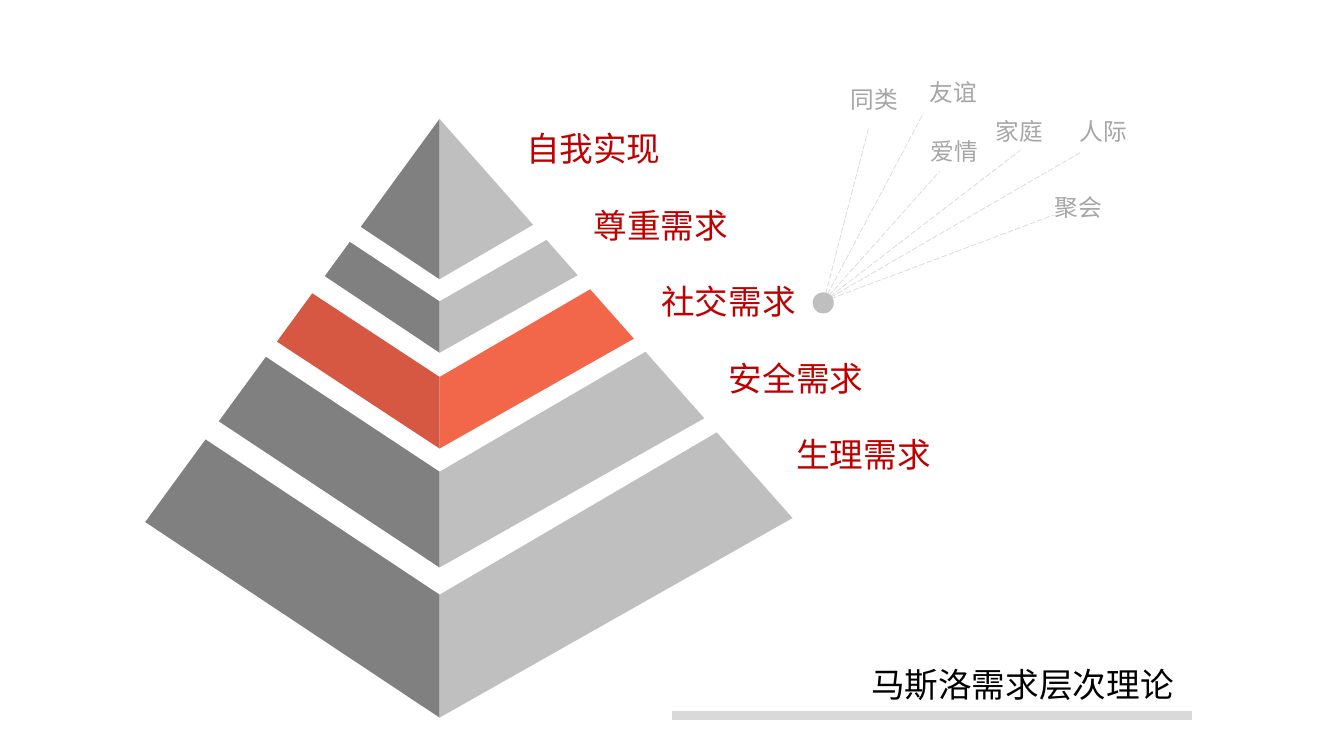
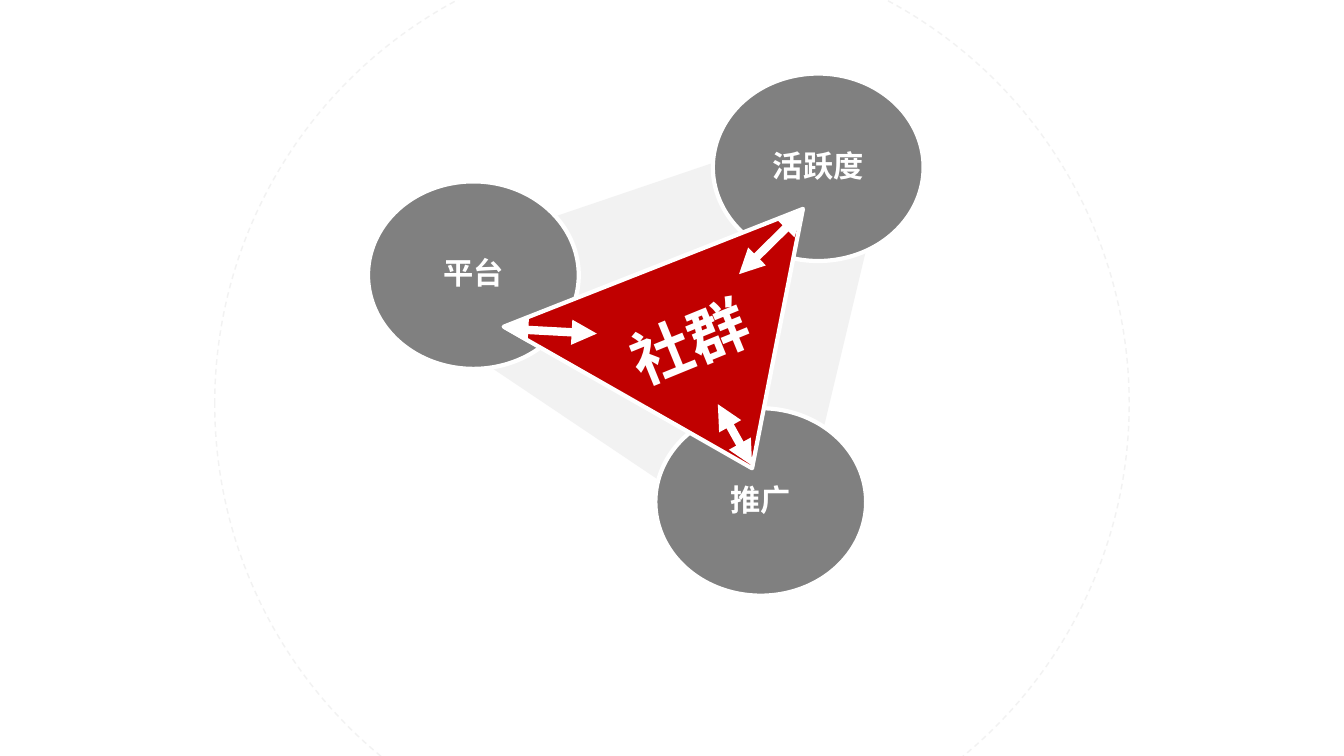
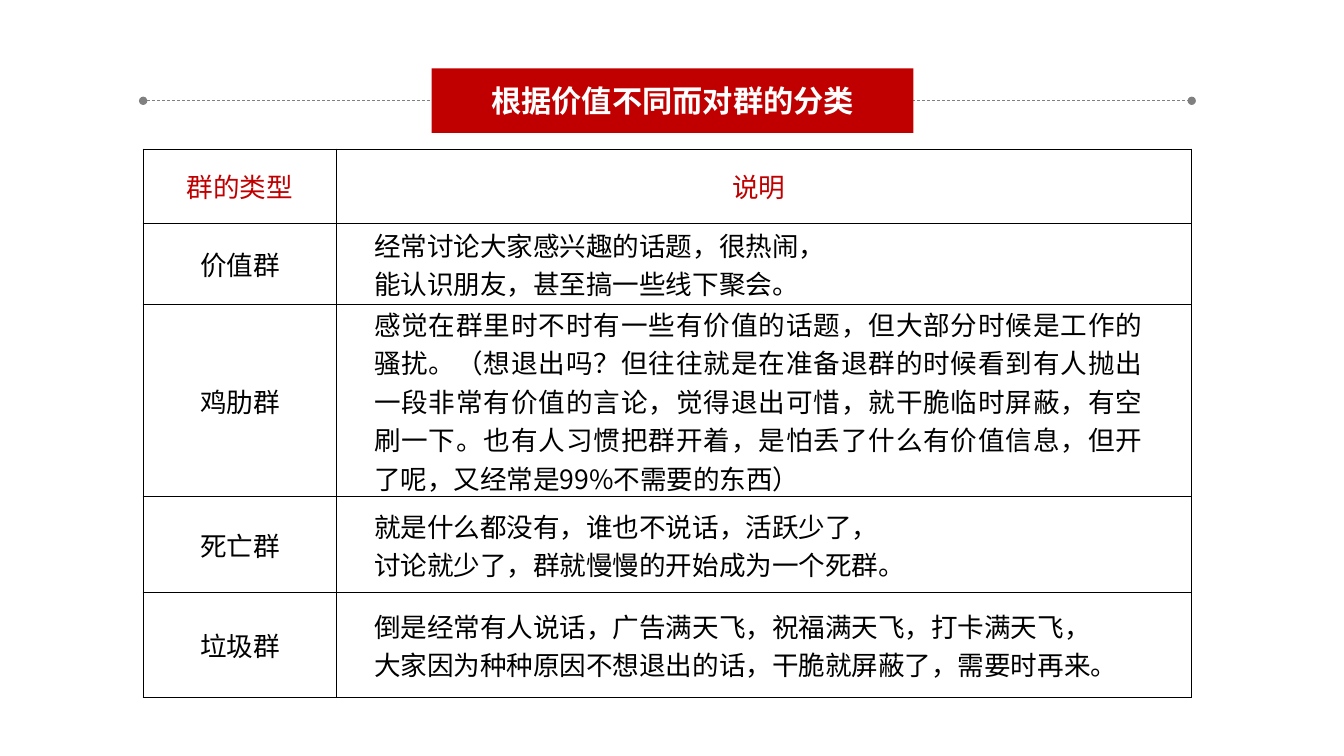
"""Build three slides on needs, communities and the kinds of groups."""
from dataclasses import dataclass

from lxml import etree
from pptx import Presentation
from pptx.dml.color import RGBColor
from pptx.enum.dml import MSO_LINE
from pptx.enum.shapes import MSO_CONNECTOR, MSO_SHAPE
from pptx.enum.text import MSO_ANCHOR, MSO_AUTO_SIZE, PP_ALIGN
from pptx.oxml.ns import qn
from pptx.util import Inches, Pt

FONT = "Noto Sans CJK SC"
BLACK = RGBColor(0x00, 0x00, 0x00)
WHITE = RGBColor(0xFF, 0xFF, 0xFF)
RED = RGBColor(0xC0, 0x00, 0x00)
ORANGE = RGBColor(0xF2, 0x66, 0x49)
DARK_ORANGE = RGBColor(0xD6, 0x58, 0x43)
DARK_GREY = RGBColor(0x80, 0x80, 0x80)
MID_GREY = RGBColor(0xA6, 0xA6, 0xA6)
GREY = RGBColor(0xBF, 0xBF, 0xBF)
PALE_GREY = RGBColor(0xD9, 0xD9, 0xD9)
FAINT_GREY = RGBColor(0xF2, 0xF2, 0xF2)

LEFT, CENTER = PP_ALIGN.LEFT, PP_ALIGN.CENTER
RIGHT, JUSTIFY = PP_ALIGN.RIGHT, PP_ALIGN.JUSTIFY
MIDDLE = MSO_ANCHOR.MIDDLE
GROW = MSO_AUTO_SIZE.SHAPE_TO_FIT_TEXT
STRAIGHT = MSO_CONNECTOR.STRAIGHT
DASH, LONG_DASH = MSO_LINE.DASH, MSO_LINE.LONG_DASH
ELLIPSE, RECT = MSO_SHAPE.OVAL, MSO_SHAPE.RECTANGLE
TRIANGLE, PARALLELOGRAM = MSO_SHAPE.ISOSCELES_TRIANGLE, MSO_SHAPE.PARALLELOGRAM

APEX_X, APEX_Y = 4.36, 1.18
LEFT_SLOPE, RIGHT_SLOPE = -0.73, 0.884
HUB = (8.17, 2.99)
HEADING = {"size": Pt(21.6), "bold": True}


@dataclass(frozen=True)
class Tier:
    """One layer of the pyramid, given by the heights of its corners."""
    label: str
    left: tuple[float, float]
    right: tuple[float, float]
    middle: tuple[float, float]
    left_color: RGBColor = DARK_GREY
    right_color: RGBColor = GREY


@dataclass(frozen=True)
class Ray:
    """A word with the end of the dashed line that leads to it."""
    label: str
    left: float
    top: float
    end: tuple[float, float]


@dataclass(frozen=True)
class Band:
    """A pale parallelogram that joins two circles."""
    box: tuple[float, float, float, float]
    rotation: float
    flipped: bool


@dataclass(frozen=True)
class Circle:
    """A labelled circle of the community diagram."""
    label: str
    left: float
    top: float


@dataclass(frozen=True)
class GroupKind:
    """A table row with the lines of its description."""
    height: float
    name: str
    lines: tuple[str, ...]
    color: RGBColor = BLACK
    align: PP_ALIGN = JUSTIFY


TIERS = [
    Tier("自我实现", (1.18, 2.25), (1.18, 2.23), (1.18, 2.77)),
    Tier("尊重需求", (2.40, 2.74), (2.38, 2.73), (2.99, 3.50)),
    Tier("社交需求", (2.91, 3.39), (2.87, 3.36), (3.74, 4.45), DARK_ORANGE, ORANGE),
    Tier("安全需求", (3.54, 4.18), (3.49, 4.15), (4.68, 5.63)),
    Tier("生理需求", (4.36, 5.18), (4.29, 5.14), (5.90, 7.12)),
]
RAYS = [
    Ray("爱情", 9.13, 1.31, (9.32, 1.70)),
    Ray("友谊", 9.12, 0.72, (9.16, 1.12)),
    Ray("家庭", 9.78, 1.11, (10.12, 1.49)),
    Ray("人际", 10.61, 1.11, (10.72, 1.51)),
    Ray("同类", 8.34, 0.79, (8.62, 1.25)),
    Ray("聚会", 10.36, 1.86, (10.46, 2.13)),
]
BANDS = [
    Band((6.36, 2.18, 2.99, 2.80), 339.5, False),
    Band((4.67, 0.67, 2.90, 3.41), 281, True),
    Band((4.58, 2.43, 3.26, 2.96), 337.8, True),
]
CIRCLES = [
    Circle("活跃度", 7.07, 0.73),
    Circle("平台", 3.65, 1.80),
    Circle("推广", 6.50, 4.05),
]
ARROWS = [
    ((4.99, 3.26), (5.92, 3.31)),
    ((7.97, 2.09), (7.33, 2.72)),
    ((7.46, 4.62), (7.12, 4.01)),
]
COLUMNS = [1.92, 0.28, 7.81, 0.39]
KINDS = [
    GroupKind(0.74, "群的类型", ("说明",), RED, CENTER),
    GroupKind(0.80, "价值群", (
        "经常讨论大家感兴趣的话题，很热闹，",
        "能认识朋友，甚至搞一些线下聚会。")),
    GroupKind(1.90, "鸡肋群", (
        "感觉在群里时不时有一些有价值的话题，但大部分时候是工作的骚扰。"
        "（想退出吗？但往往就是在准备退群的时候看到有人抛出一段非常有价值的言论，"
        "觉得退出可惜，就干脆临时屏蔽，有空刷一下。"
        "也有人习惯把群开着，是怕丢了什么有价值信息，"
        "但开了呢，又经常是99%不需要的东西）",)),
    GroupKind(0.95, "死亡群", (
        "就是什么都没有，谁也不说话，活跃少了，",
        "讨论就少了，群就慢慢的开始成为一个死群。")),
    GroupKind(1.04, "垃圾群", (
        "倒是经常有人说话，广告满天飞，祝福满天飞，打卡满天飞，",
        "大家因为种种原因不想退出的话，干脆就屏蔽了，需要时再来。")),
]


def write(tf, lines, color: RGBColor, fmt: dict, align=LEFT, spacing=None) -> None:
    """Fill a text frame with one paragraph for each line."""
    for i, line in enumerate(lines):
        p = tf.add_paragraph() if i else tf.paragraphs[0]
        p.alignment = align
        if spacing:
            p.line_spacing = spacing
        r = p.add_run()
        r.text = line
        for name, value in {"name": FONT, **fmt}.items():
            setattr(r.font, name, value)
        r.font.color.rgb = color
        etree.SubElement(r.font._element, qn("a:ea"), typeface=FONT)


def add_text(s, box, text: str, color: RGBColor, fmt: dict,
             align=LEFT, wrap=False, spacing=None):
    """Add a text box and return its shape."""
    sp = s.shapes.add_textbox(*map(Inches, box))
    tf = sp.text_frame
    tf.word_wrap, tf.auto_size = wrap, GROW
    write(tf, [text], color, fmt, align, spacing)
    return sp


def paint(sp, fill=None, line=None, width=1.0, dash=None) -> None:
    """Set the fill and the outline of a shape, without shadow."""
    sp.shadow.inherit = False
    if fill is None:
        sp.fill.background()
    else:
        sp.fill.solid()
        sp.fill.fore_color.rgb = fill
    if line is None:
        sp.line.fill.background()
        return
    sp.line.color.rgb, sp.line.width = line, Pt(width)
    if dash:
        sp.line.dash_style = dash


def add_preset(s, kind, box, rotation=0.0, adj=None, **style):
    """Add a painted preset shape."""
    sp = s.shapes.add_shape(kind, *map(Inches, box))
    sp.rotation = rotation
    if adj is not None:
        sp.adjustments[0] = adj
    paint(sp, **style)
    return sp


def label_shape(sp, text: str, spacing=None) -> None:
    """Write a bold white heading in the middle of a shape."""
    sp.text_frame.word_wrap = True
    sp.text_frame.vertical_anchor = MIDDLE
    write(sp.text_frame, [text], WHITE, HEADING, CENTER, spacing)


def add_polygon(s, points, fill: RGBColor) -> None:
    """Add a closed outline through the points."""
    start, *rest = [(Inches(x), Inches(y)) for x, y in points]
    fb = s.shapes.build_freeform(*start, scale=1.0)
    fb.add_line_segments(rest, close=True)
    paint(fb.convert_to_shape(), fill)


def add_line(s, start, end, color: RGBColor, width: float, dash=None, ends=None) -> None:
    """Add a straight line, with the same mark on both ends if given."""
    c = s.shapes.add_connector(STRAIGHT, *map(Inches, (*start, *end)))
    c.line.color.rgb, c.line.width = color, Pt(width)
    if dash:
        c.line.dash_style = dash
    if ends:
        for tag in ("a:headEnd", "a:tailEnd"):
            etree.SubElement(c.line._get_or_add_ln(), qn(tag), type=ends)
    etree.SubElement(c._element.spPr, qn("a:effectLst"))


def add_face(s, slope: float, outer, middle, fill: RGBColor) -> None:
    """Add one side of a tier between the slanted edge and the centre line."""
    edge = [(APEX_X + slope * (y - APEX_Y), y) for y in outer]
    centre = [(APEX_X, y) for y in reversed(middle)]
    add_polygon(s, edge + centre, fill)


def set_borders(cell, sides: str) -> None:
    """Draw the named sides of a cell in black and hide the others."""
    tc_pr = cell._tc.get_or_add_tcPr()
    for side in "LRTB":
        ln = etree.SubElement(tc_pr, qn(f"a:ln{side}"), w=str(Pt(1)))
        if side in sides:
            fill = etree.SubElement(ln, qn("a:solidFill"))
            etree.SubElement(fill, qn("a:srgbClr"), val=str(BLACK))
        else:
            etree.SubElement(ln, qn("a:noFill"))


def build_needs(s) -> None:
    """Draw the pyramid of needs."""
    for i, tier in enumerate(TIERS):
        add_face(s, LEFT_SLOPE, tier.left, tier.middle, tier.left_color)
        add_face(s, RIGHT_SLOPE, tier.right, tier.middle, tier.right_color)
        add_text(s, (5.12 + 0.67 * i, 1.22 + 0.76 * i, 1.55, 0.5),
                 tier.label, RED, {"size": Pt(24)})
    for ray in RAYS:
        add_text(s, (ray.left, ray.top, 0.68, 0.38), ray.label, MID_GREY,
                 {"size": Pt(16.9)})
        add_line(s, HUB, ray.end, PALE_GREY, 0.5, LONG_DASH)
    add_preset(s, ELLIPSE, (8.06, 2.9, 0.21, 0.21), fill=GREY)
    title = add_text(s, (5.78, 6.34, 6.04, 0.71), "马斯洛需求层次理论", BLACK,
                     {"size": Pt(24)}, RIGHT, True, 1.5)
    title.text_frame.margin_right = Inches(0.18)
    add_line(s, (6.67, 7.1), (11.82, 7.1), PALE_GREY, 6)


def build_community(s) -> None:
    """Draw the community triangle with its three circles."""
    for band in BANDS:
        sp = add_preset(s, PARALLELOGRAM, band.box, band.rotation, 0.672, fill=FAINT_GREY)
        if band.flipped:
            sp._element.spPr.xfrm.set("flipH", "1")
    for circle in CIRCLES:
        sp = add_preset(s, ELLIPSE, (circle.left, circle.top, 2.09, 1.86),
                        fill=DARK_GREY, line=WHITE, width=3)
        label_shape(sp, circle.label, 0.9)
    add_preset(s, TRIANGLE, (5.29, 2.58, 3.19, 2.21), 158.5, 0.443,
               fill=RED, line=WHITE, width=3)
    name = add_text(s, (6.05, 2.97, 1.57, 0.83), "社群", WHITE,
                    {"size": Pt(43.2), "bold": True}, CENTER, True)
    name.rotation = 337.8
    for start, end in ARROWS:
        add_line(s, start, end, WHITE, 6, ends="triangle")
    add_preset(s, ELLIPSE, (2.13, -0.53, 9.07, 9.07), line=FAINT_GREY, dash=DASH)


def build_kinds(s) -> None:
    """Draw the table of group kinds under its heading."""
    heights = [kind.height for kind in KINDS]
    frame = s.shapes.add_table(len(KINDS), len(COLUMNS), Inches(1.42), Inches(1.48),
                               Inches(sum(COLUMNS)), Inches(sum(heights)))
    table = frame.table
    table.first_row = table.horz_banding = False
    for column, width in zip(table.columns, COLUMNS):
        column.width = Inches(width)
    for row, kind in zip(table.rows, KINDS):
        row.height = Inches(kind.height)
        for cell, sides in zip(row.cells, ("LRTB", "LTB", "TB", "RTB")):
            set_borders(cell, sides)
            cell.fill.background()
            cell.vertical_anchor = MIDDLE
            cell.margin_left = cell.margin_right = Inches(0.09)
            cell.margin_top = cell.margin_bottom = 0
        fmt = {"size": Pt(19)}
        write(row.cells[0].text_frame, [kind.name], kind.color, fmt, CENTER)
        write(row.cells[2].text_frame, kind.lines, kind.color, fmt, kind.align)
    add_line(s, (1.42, 1), (11.82, 1), DARK_GREY, 0.5, DASH, "oval")
    banner = add_preset(s, RECT, (4.28, 0.68, 4.78, 0.64), fill=RED)
    label_shape(banner, "根据价值不同而对群的分类")


def main() -> None:
    """Build and save the presentation."""
    prs = Presentation()
    prs.slide_width, prs.slide_height = Inches(13.33), Inches(7.5)
    for build in (build_needs, build_community, build_kinds):
        build(prs.slides.add_slide(prs.slide_layouts[6]))
    prs.save("out.pptx")


if __name__ == "__main__":
    main()
